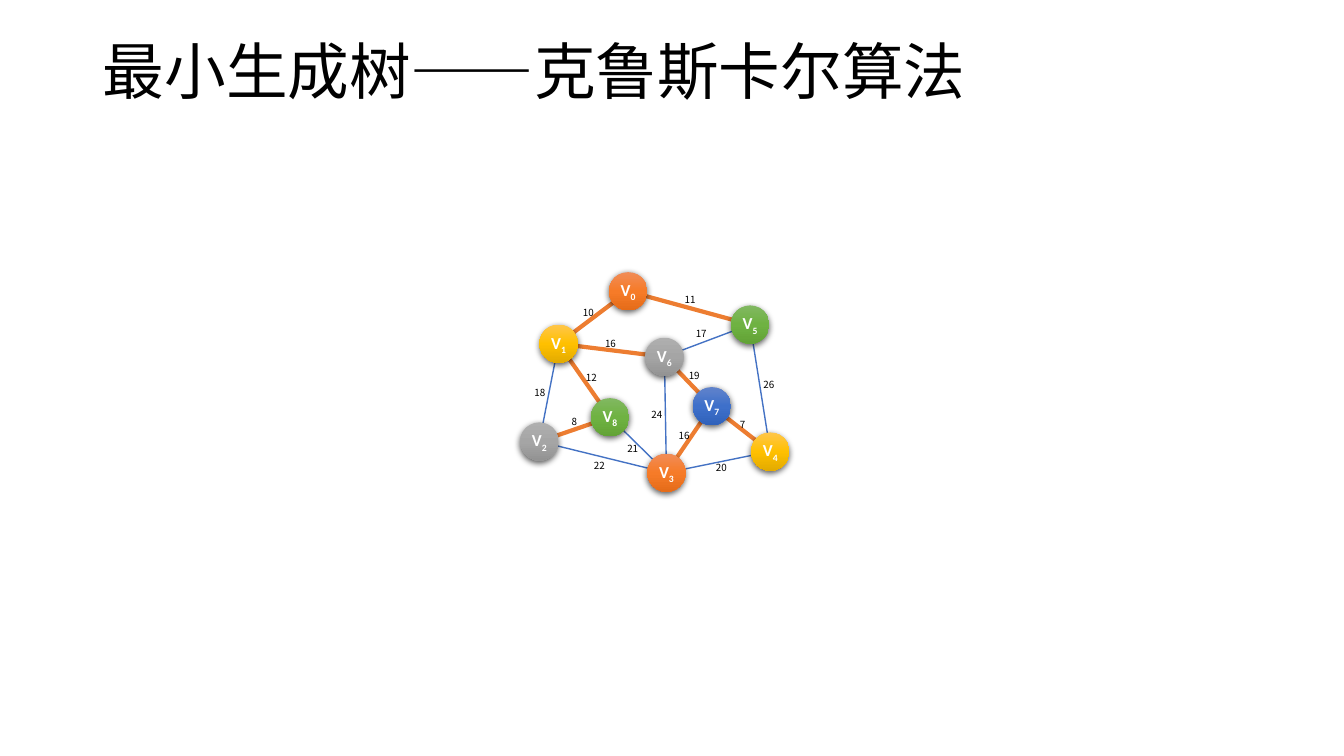
from lxml import etree
from pptx import Presentation
from pptx.dml.color import RGBColor
from pptx.enum.shapes import MSO_CONNECTOR, MSO_SHAPE
from pptx.enum.text import MSO_ANCHOR, MSO_AUTO_SIZE, PP_ALIGN
from pptx.oxml import parse_xml
from pptx.oxml.ns import nsdecls, qn
from pptx.util import Emu, Pt

PX = 9144  # 100 px to the inch
NODE_SIZE = 38
LABEL_WIDTH, LABEL_HEIGHT = 31, 22
CJK_FONT, NODE_FONT = "Noto Sans CJK SC", "Calibri"
COLORS = {"text": "000000", "node_text": "FFFFFF", "edge": "4472C4", "tree": "ED7D31"}
GRADIENTS = {
    "orange": ("F18C57", "F67B28", "E56C19"),
    "yellow": ("FFC64B", "FFC000", "E3AB00"),
    "gray": ("AFAFAF", "A5A5A5", "939393"),
    "green": ("81B861", "6FB242", "62A336"),
    "blue": ("6183CB", "3E70CA", "3062BB"),
}
# Centre of each vertex, in order V0 to V8, and its gradient
VERTICES = [
    (623, 289, "orange"), (554, 341, "yellow"), (535, 438, "gray"),
    (661, 469, "orange"), (764, 448, "yellow"), (744, 322, "green"),
    (659, 354, "gray"), (706, 403, "blue"), (605, 414, "green"),
]
# Two vertices, weight, centre of the weight label, whether in the spanning tree
EDGES = [
    (7, 3, 16, 678, 432, True), (7, 4, 7, 736, 421, True),
    (6, 7, 19, 688, 373, True), (6, 1, 16, 605, 341, True),
    (8, 2, 8, 569, 418, True), (1, 8, 12, 586, 375, True),
    (5, 0, 11, 684, 297, True), (0, 1, 10, 583, 310, True),
    (1, 2, 18, 535, 390, False), (4, 3, 20, 715, 464, False),
    (3, 2, 22, 594, 462, False), (5, 4, 26, 762, 382, False),
    (5, 6, 17, 695, 331, False), (8, 3, 21, 627, 445, False),
    (6, 3, 24, 651, 412, False),
]


def px(*lengths):
    return [Emu(length * PX) for length in lengths]


def color(name):
    return RGBColor.from_string(COLORS[name])


def set_font(paragraph, name, size, color_name):
    paragraph.font.name = name
    paragraph.font.size = Pt(size)
    paragraph.font.color.rgb = color(color_name)


def add_title(slide, text):
    title = slide.shapes.title
    title.left, title.top, title.width, title.height = px(92, 1, 1150, 145)
    frame = title.text_frame
    frame.text = text
    frame.vertical_anchor = MSO_ANCHOR.MIDDLE
    paragraph = frame.paragraphs[0]
    paragraph.alignment = PP_ALIGN.LEFT
    paragraph.line_spacing = 0.9
    set_font(paragraph, CJK_FONT, 44, "text")
    properties = paragraph.runs[0].font
    properties.name = CJK_FONT
    latin = paragraph.runs[0]._r.rPr.find(qn("a:latin"))
    latin.addnext(parse_xml(f'<a:ea {nsdecls("a")} typeface="{CJK_FONT}"/>'))


def add_line(slide, start, end, color_name, width):
    points = px(*VERTICES[start][:2], *VERTICES[end][:2])
    line = slide.shapes.add_connector(MSO_CONNECTOR.STRAIGHT, *points)
    line.line.color.rgb = color(color_name)
    line.line.width = Pt(width)
    etree.SubElement(line._element.spPr, qn("a:effectLst"))


def add_weight(slide, weight, x, y):
    left, top = x - LABEL_WIDTH // 2, y - LABEL_HEIGHT // 2
    box = slide.shapes.add_textbox(*px(left, top, LABEL_WIDTH, LABEL_HEIGHT))
    frame = box.text_frame
    frame.text = str(weight)
    frame.word_wrap = False
    frame.auto_size = MSO_AUTO_SIZE.SHAPE_TO_FIT_TEXT
    frame.paragraphs[0].alignment = PP_ALIGN.CENTER
    set_font(frame.paragraphs[0], CJK_FONT, 7, "text")


def style_node(node, gradient):
    """Give the node a vertical three-stop gradient and a soft shadow below."""
    node.line.fill.background()
    node.fill.gradient()
    node.fill.gradient_angle = 270
    stops = node._element.spPr.find(qn("a:gradFill")).find(qn("a:gsLst"))
    for stop in list(stops):
        stops.remove(stop)
    for position, value in zip((0, 50000, 100000), GRADIENTS[gradient]):
        stops.append(parse_xml(
            f'<a:gs {nsdecls("a")} pos="{position}"><a:srgbClr val="{value}"/></a:gs>'))
    node.shadow.inherit = False
    node._element.spPr.find(qn("a:effectLst")).append(parse_xml(
        f'<a:outerShdw {nsdecls("a")} blurRad="{Pt(4.5)}" dist="{Pt(1.5)}" dir="5400000" '
        'algn="ctr" rotWithShape="0"><a:srgbClr val="000000">'
        '<a:alpha val="63000"/></a:srgbClr></a:outerShdw>'))


def add_node(slide, index, x, y, gradient):
    corner = x - NODE_SIZE // 2, y - NODE_SIZE // 2
    node = slide.shapes.add_shape(MSO_SHAPE.OVAL, *px(*corner, NODE_SIZE, NODE_SIZE))
    style_node(node, gradient)
    frame = node.text_frame
    frame.margin_left = frame.margin_right = frame.margin_top = frame.margin_bottom = 0
    frame.word_wrap = False
    frame.vertical_anchor = MSO_ANCHOR.MIDDLE
    paragraph = frame.paragraphs[0]
    paragraph.alignment = PP_ALIGN.CENTER
    set_font(paragraph, NODE_FONT, 12, "node_text")
    paragraph.font.bold = True
    paragraph.add_run().text = "V"
    subscript = paragraph.add_run()
    subscript.text = str(index)
    subscript._r.get_or_add_rPr().set("baseline", "-25000")


def main():
    presentation = Presentation()
    presentation.slide_width, presentation.slide_height = px(1333, 750)
    slide = presentation.slides.add_slide(presentation.slide_layouts[5])
    add_title(slide, "最小生成树——克鲁斯卡尔算法")
    for start, end, _, _, _, in_tree in EDGES:
        add_line(slide, start, end, "edge", 1)
        if in_tree:
            add_line(slide, start, end, "tree", 3)
    for index, vertex in enumerate(VERTICES):
        add_node(slide, index, *vertex)
    for _, _, weight, x, y, _ in EDGES:
        add_weight(slide, weight, x, y)
    presentation.save("out.pptx")


if __name__ == "__main__":
    main()
